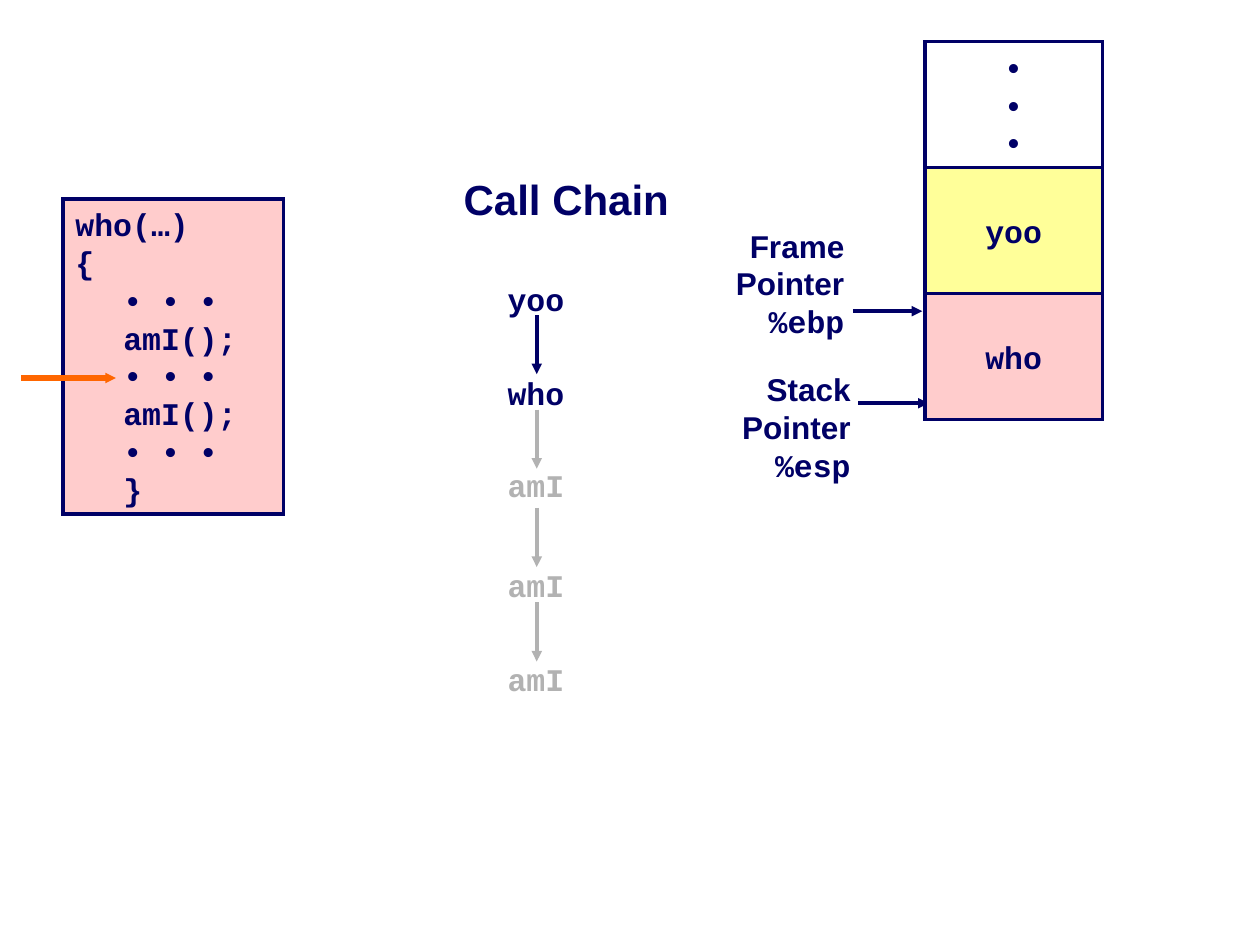
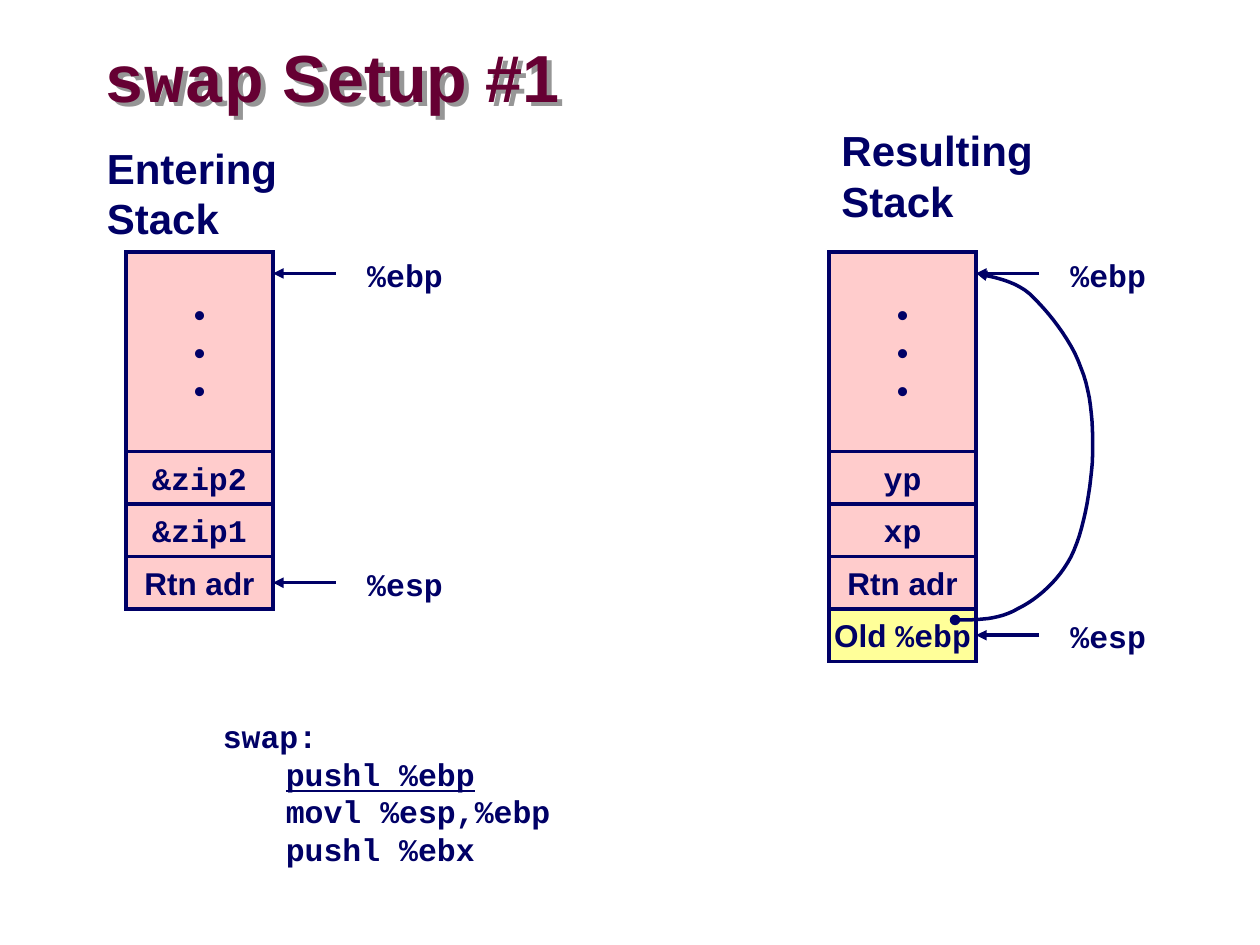
from lxml import etree
from pptx import Presentation
from pptx.dml.color import RGBColor
from pptx.enum.shapes import MSO_CONNECTOR, MSO_SHAPE
from pptx.enum.text import MSO_ANCHOR, PP_ALIGN
from pptx.oxml.ns import qn
from pptx.util import Inches, Pt

NAVY = RGBColor(0x00, 0x00, 0x66)
PINK = RGBColor(0xFF, 0xCC, 0xCC)
YELLOW = RGBColor(0xFF, 0xFF, 0x99)
ORANGE = RGBColor(0xFF, 0x66, 0x00)
GRAY = RGBColor(0xB2, 0xB2, 0xB2)
MAROON = RGBColor(0x66, 0x00, 0x33)
SHADOW = RGBColor(0x96, 0x96, 0x96)
SANS, MONO = "Arial", "Courier New"
LEFT, CENTER, RIGHT = PP_ALIGN.LEFT, PP_ALIGN.CENTER, PP_ALIGN.RIGHT
TOP, MIDDLE = MSO_ANCHOR.TOP, MSO_ANCHOR.MIDDLE
RECT, STRAIGHT = MSO_SHAPE.RECTANGLE, MSO_CONNECTOR.STRAIGHT
RIGHT_SIDE = 3

# Slide 1: a paragraph is a string, or a list of (text, format) runs
DOTS = ["•"] * 3
WHO_CODE = ["who(…)", "{", "• • •", "amI();", "• • •", "amI();", "• • •", "}"]
CHAIN = [("yoo", 2.17, NAVY), ("who", 2.92, NAVY), ("amI", 3.65, GRAY),
         ("amI", 4.44, GRAY), ("amI", 5.19, GRAY)]
CHAIN_ARROWS = [2.5, 3.25, 4.03, 4.78]
FRAMES = [(DOTS, None), (["yoo"], YELLOW), (["who"], PINK)]
# words, register, label left and top, arrow start, end and height
POINTERS = [("Stack", "%esp", 5.79, 2.89, 6.81, 7.37, 3.2),
            ("Frame", "%ebp", 5.74, 1.75, 6.77, 7.32, 2.47)]

# Slide 2: each stack has a heading place, a left edge and its cells
CELL_W, CELL_H, DOTS_H, STACK_TOP = 14 / 12, 5 / 12, 19 / 12, 2
RTN = ("Rtn adr", SANS, PINK)
OLD = ([("Old ", {}), ("%ebp", {"font": MONO})], SANS, YELLOW)
STACKS = [
    ("Entering", 0.75, 1.08, 1,
     [("&zip2", MONO, PINK), ("&zip1", MONO, PINK), RTN]),
    ("Resulting", 6.58, 0.94, 6.58,
     [("yp", MONO, PINK), ("xp", MONO, PINK), RTN, OLD]),
]
SWAP_CODE = ["swap:", [("pushl %ebp", {"underline": True})],
             "movl %esp,%ebp", "pushl %ebx"]
# Start point, then two control points and an end point per curve
OLD_EBP_LINK = [
    (7.58, 4.92),
    (7.76, 4.92), (7.93, 4.92), (8.08, 4.83),
    (8.24, 4.75), (8.4, 4.61), (8.5, 4.42),
    (8.6, 4.22), (8.65, 3.92), (8.67, 3.67),
    (8.68, 3.42), (8.67, 3.14), (8.58, 2.92),
    (8.5, 2.69), (8.31, 2.46), (8.17, 2.33),
    (8.03, 2.21), (7.82, 2.19), (7.75, 2.17),
]


def set_text(sp, paragraphs, font=SANS, size=18, color=NAVY, align=LEFT,
             anchor=TOP, wrap=False, first_spacing=1.0, inset=True,
             indent=0, indent_from=0):
    """Fill a shape; paragraphs from indent_from on get the left indent."""
    tf = sp.text_frame
    tf.word_wrap = wrap
    tf.vertical_anchor = anchor
    tf.margin_left = tf.margin_right = Inches(0.1 if inset else 0)
    tf.margin_top = tf.margin_bottom = Inches(0.05 if inset else 0)
    for i, runs in enumerate(paragraphs):
        p = tf.paragraphs[0] if i == 0 else tf.add_paragraph()
        p.alignment = align
        p.line_spacing = first_spacing if i == 0 else 1.0
        if indent and i >= indent_from:
            p._p.get_or_add_pPr().set("marL", str(Inches(indent)))
        for text, fmt in [(runs, {})] if isinstance(runs, str) else runs:
            r = p.add_run()
            r.text = text
            r.font.name = fmt.get("font", font)
            r.font.size = Pt(size)
            r.font.bold = True
            r.font.underline = fmt.get("underline")
            r.font.color.rgb = color


def add_label(slide, paragraphs, x, y, w, h, **fmt):
    sp = slide.shapes.add_textbox(*map(Inches, (x, y, w, h)))
    set_text(sp, paragraphs, **fmt)
    return sp


def add_box(slide, paragraphs, x, y, w, h, fill, **fmt):
    sp = slide.shapes.add_shape(RECT, *map(Inches, (x, y, w, h)))
    sp.shadow.inherit = False
    if fill is None:
        sp.fill.background()
    else:
        sp.fill.solid()
        sp.fill.fore_color.rgb = fill
    ln = style_line(sp, NAVY, 2)
    etree.SubElement(ln, qn("a:miter"), lim="800000")
    set_text(sp, paragraphs, **fmt)
    return sp


def style_line(sp, color, width):
    sp.line.color.rgb = color
    sp.line.width = Pt(width)
    return sp.line._get_or_add_ln()


def add_arrow(slide, x1, y1, x2, y2, color=NAVY, width=2, head_size="med",
              target=None):
    """Arrow to (x2, y2), or joined to the right side of target."""
    line = slide.shapes.add_connector(STRAIGHT, *map(Inches, (x1, y1, x2, y2)))
    if target is not None:
        line.end_connect(target, RIGHT_SIDE)
    ln = style_line(line, color, width)
    etree.SubElement(ln, qn("a:tailEnd"), type="triangle", w=head_size,
                     len=head_size)
    etree.SubElement(line._element.spPr, qn("a:effectLst"))


def add_curve(slide, points, steps=12, units=1000):
    """Open outline along cubic curves, in whole units of an inch."""
    outline = [points[0]]
    for i in range(0, len(points) - 1, 3):
        for k in range(1, steps + 1):
            t = k / steps
            weights = ((1 - t) ** 3, 3 * t * (1 - t) ** 2,
                       3 * t * t * (1 - t), t ** 3)
            outline.append(tuple(
                sum(w * pt[axis] for w, pt in zip(weights, points[i:i + 4]))
                for axis in (0, 1)))
    scaled = [(round(x * units), round(y * units)) for x, y in outline]
    builder = slide.shapes.build_freeform(*scaled[0],
                                          scale=Inches(1) / units)
    builder.add_line_segments(scaled[1:], close=False)
    sp = builder.convert_to_shape()
    sp.shadow.inherit = False
    sp.fill.background()
    ln = style_line(sp, NAVY, 2)
    etree.SubElement(ln, qn("a:round"))
    etree.SubElement(ln, qn("a:headEnd"), type="oval")
    etree.SubElement(ln, qn("a:tailEnd"), type="triangle")


def add_title(slide, runs):
    """Title whose text casts a shadow, as its box has no fill."""
    sp = add_label(slide, [runs], 0.83, 0.33, 5.95, 0.63, size=38,
                   color=MAROON, anchor=MIDDLE, wrap=True,
                   first_spacing=0.87, inset=False)
    effects = etree.SubElement(sp._element.spPr, qn("a:effectLst"))
    shadow = etree.SubElement(effects, qn("a:outerShdw"),
                              dist=str(Pt(4)), dir="2700000")
    etree.SubElement(shadow, qn("a:srgbClr"), val=str(SHADOW))


def add_register(slide, name, edge, y, target=None):
    """Register name with an arrow to the stack's right edge."""
    add_arrow(slide, edge + 0.5, y, edge, y, target=target)
    add_label(slide, [name], edge + 0.65, y - 0.19, 0.8, 0.4, font=MONO)


def build_call_chain(slide):
    for word, register, x, y, start, end, arrow_y in POINTERS:
        add_arrow(slide, start, arrow_y, end, arrow_y)
        add_label(slide, [word, "Pointer", [(register, {"font": MONO})]],
                  x, y, 1.06, 1, align=RIGHT)
    for i, (text, fill) in enumerate(FRAMES):
        add_box(slide, text, 7.34, 0.33 + i, 1.41, 1, fill, font=MONO,
                align=CENTER, anchor=MIDDLE)
    add_label(slide, ["Call Chain"], 3.58, 1.33, 1.83, 0.5, size=24,
              align=CENTER)
    for name, y, color in CHAIN:
        add_label(slide, [name], 3.93, y, 0.66, 0.4, font=MONO, color=color)
    for i, y in enumerate(CHAIN_ARROWS):
        add_arrow(slide, 4.26, y, 4.26, y + 0.47, color=CHAIN[i + 1][2])
    add_box(slide, WHO_CODE, 0.5, 1.58, 1.75, 2.5, PINK, font=MONO,
            indent=0.38, indent_from=2)
    add_arrow(slide, 0.17, 3, 0.92, 3, color=ORANGE, width=3, head_size="sm")


def build_swap_setup(slide):
    add_title(slide, [("swap", {"font": MONO}), (" Setup #1", {})])
    add_label(slide, SWAP_CODE, 1.67, 5.58, 5.5, 1.36, font=MONO,
              first_spacing=1.2, indent=0.5, indent_from=1)
    for heading, head_x, head_y, x, cells in STACKS:
        add_label(slide, [heading, "Stack"], head_x, head_y, 2.23, 0.9,
                  size=24)
        add_box(slide, DOTS, x, STACK_TOP, CELL_W, DOTS_H, PINK,
                align=CENTER, anchor=MIDDLE)
        y = STACK_TOP + DOTS_H
        for text, font, fill in cells:
            cell = add_box(slide, [text], x, y, CELL_W, CELL_H, fill,
                           font=font, align=CENTER, anchor=MIDDLE)
            y += CELL_H
        edge = x + CELL_W
        add_register(slide, "%ebp", edge, STACK_TOP + 0.17)
        add_register(slide, "%esp", edge, y - CELL_H / 2, target=cell)
    add_curve(slide, OLD_EBP_LINK)


def main():
    prs = Presentation()
    prs.slide_width, prs.slide_height = Inches(10), Inches(7.5)
    blank = prs.slide_layouts[6]
    for build in (build_call_chain, build_swap_setup):
        build(prs.slides.add_slide(blank))
    prs.save("out.pptx")


if __name__ == "__main__":
    main()
